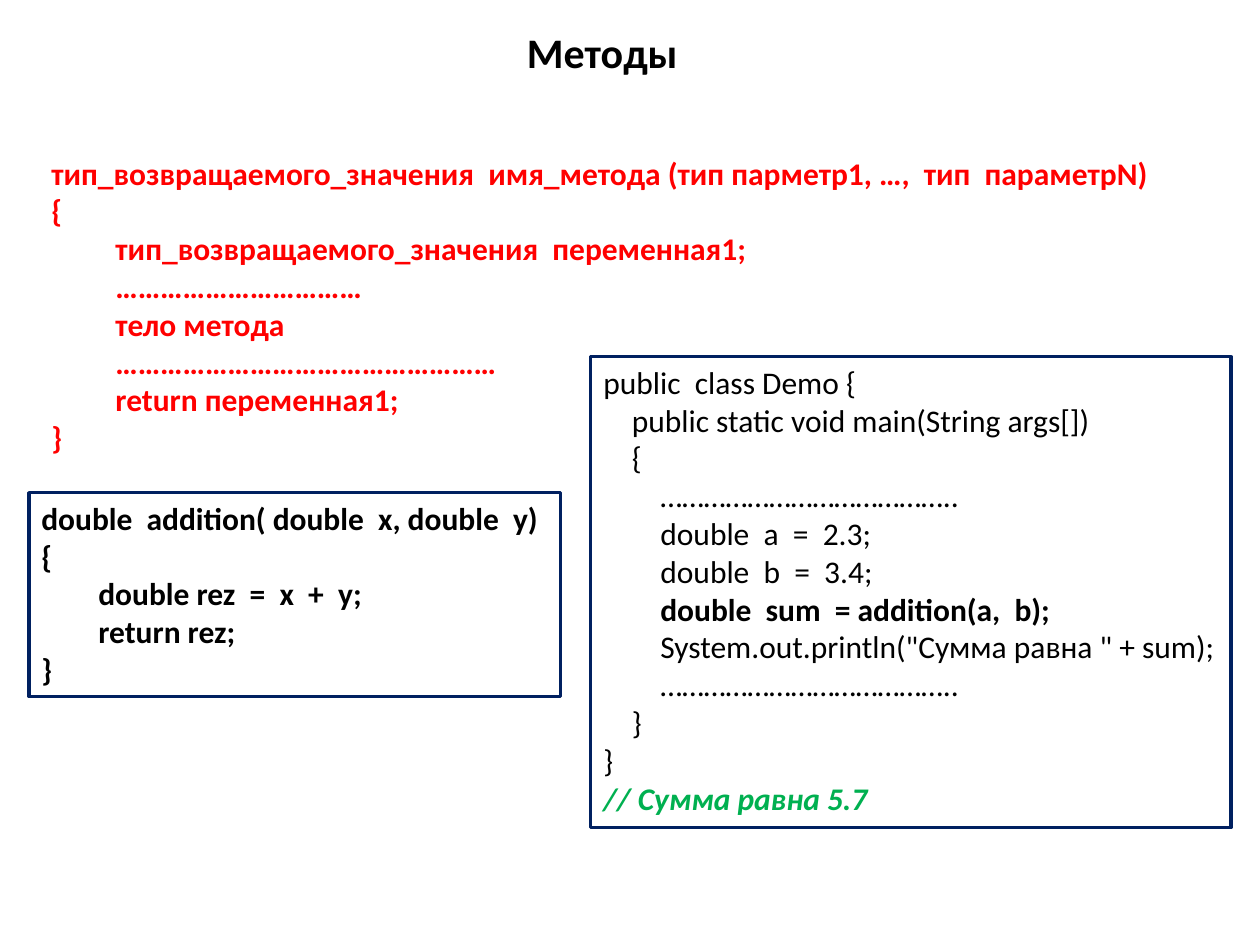
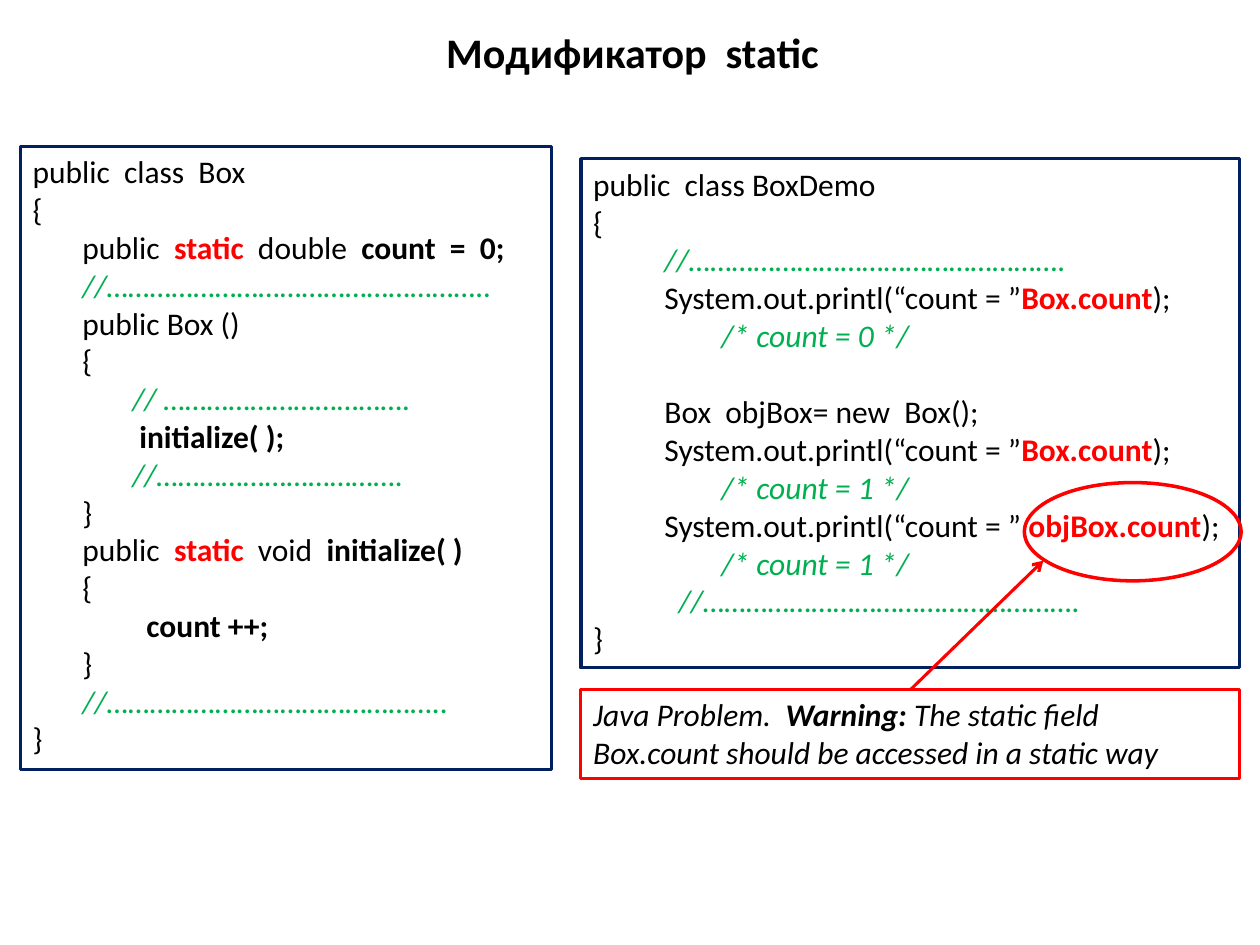
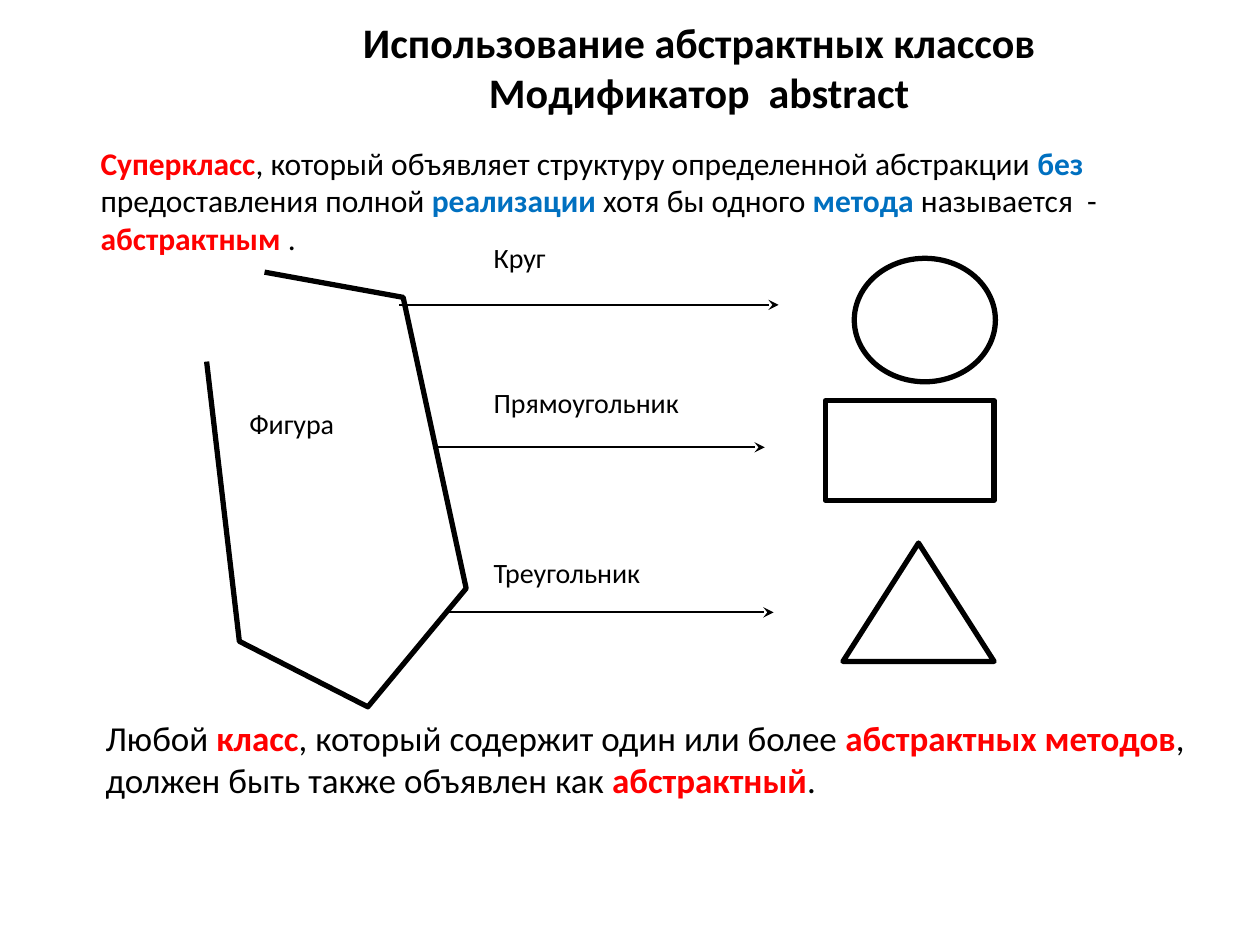
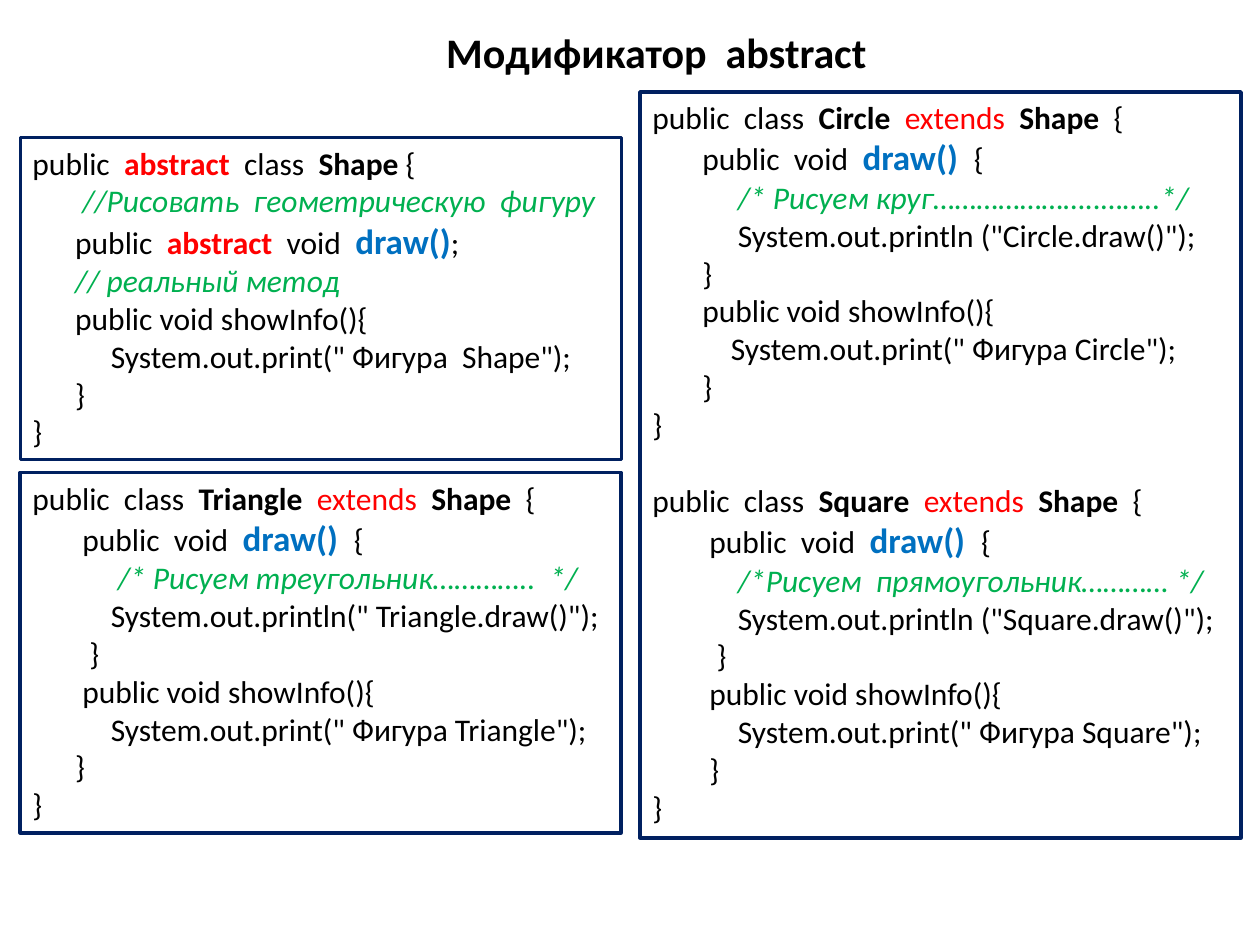
import pptx
import pptx.dml.color
import pptx.enum.shapes
import pptx.enum.text
import pptx.oxml
import pptx.oxml.ns
import pptx.util

Inches = pptx.util.Inches
Pt = pptx.util.Pt
SHAPE = pptx.enum.shapes.MSO_SHAPE
LEFT = pptx.enum.text.PP_ALIGN.LEFT
CENTER = pptx.enum.text.PP_ALIGN.CENTER

FONT = "Calibri"
BLACK, RED, GREEN, BLUE, NAVY = "000000", "FF0000", "00B050", "0070C0", "002060"
COLUMN = Pt(4.07)  # width of one code column at 18 pt
BLANK_LINE = Pt(22)

# style name: colour, bold, italic, size (None keeps the size of the block)
STYLES = {
    "plain": (BLACK, False, False, None),
    "bold": (BLACK, True, False, None),
    "italic": (BLACK, False, True, None),
    "warning": (BLACK, True, True, None),
    "key": (RED, True, False, None),
    "extends": (RED, False, False, None),
    "comment": (GREEN, False, True, None),
    "result": (GREEN, True, True, None),
    "term": (BLUE, True, False, None),
    "method": (BLUE, True, False, 20),
}

# Each line: indent in columns, then runs; a run is plain text or (text, style).
# A line of None leaves a gap of one line before the next.
SYNTAX = [
    (0, ("тип_возвращаемого_значения  имя_метода (тип парметр1, …,  тип  параметрN)", "key")),
    (0, ("{", "key")),
    (9, ("тип_возвращаемого_значения  переменная1;", "key")),
    (9, ("……………………………", "key")),
    (9, ("тело метода", "key")),
    (9, ("……………………………………………", "key")),
    (9, ("return переменная1;", "key")),
    (0, ("}", "key")),
]
ADDITION = [
    (0, ("double  addition( double  x, double  y)", "bold")),
    (0, ("{", "bold")),
    (8, ("double rez  =  x  +  y;", "bold")),
    (8, ("return rez;", "bold")),
    (0, ("}", "bold")),
]
DEMO = [
    (0, "public  class Demo {"),
    (4, "public static void main(String args[])"),
    (4, "{"),
    (8, "…………………………………..",),
    (8, "double  a  =  2.3;"),
    (8, "double  b  =  3.4;"),
    (8, ("double  sum  = addition(a,  b);", "bold")),
    (8, 'System.out.println("Сумма равна " + sum);'),
    (8, "………………………………….."),
    (4, "}"),
    (0, "}"),
    (0, ("// Сумма равна 5.7", "result")),
]
BOX_CLASS = [
    (0, "public  class  Box"),
    (0, "{"),
    (7, "public  ", ("static ", "key"), " double  ", ("count  =  0;", "bold")),
    (7, ("//……………………………………………..", "comment")),
    (7, "public Box ()"),
    (7, "{"),
    (14, ("// …………………………….", "comment")),
    (15, ("initialize( );", "bold")),
    (14, ("//…………………………….", "comment")),
    (7, "}"),
    (7, "public  ", ("static", "key"), "  void  ", ("initialize( )", "bold")),
    (7, "{"),
    (16, ("count ++;", "bold")),
    (7, "}"),
    (7, ("//………………………………………..", "comment")),
    (0, "}"),
]
PRINT_COUNT = (10, "System.out.printl(“count = ”", ("Box.count", "key"), ");")
COUNT_IS_1 = (18, ("/* count = 1 */", "comment"))
BOX_DEMO = [
    (0, "public  class BoxDemo"),
    (0, "{"),
    (10, ("//…………………………………………….", "comment")),
    PRINT_COUNT,
    (18, ("/* count = 0 */", "comment")),
    None,
    (10, "Box  objBox= new  Box();"),
    PRINT_COUNT,
    COUNT_IS_1,
    (10, "System.out.printl(“count = ” ", ("objBox.count", "key"), ");"),
    COUNT_IS_1,
    (12, ("//…………………………………………….", "comment")),
    (0, "}"),
]
WARNING = [
    (0, ("Java Problem.  ", "italic"), ("Warning: ", "warning"),
     ("The static field Box.count should be accessed in a static way", "italic")),
]
DEFINITION = [
    (0, ("Суперкласс", "key"), ", который объявляет структуру определенной абстракции ",
     ("без ", "term"), "предоставления полной ", ("реализации ", "term"),
     "хотя бы одного ", ("метода", "term"), " называется  - ",
     ("абстрактным ", "key"), "."),
]
RULE = [
    (0, "Любой ", ("класс", "key"), ", который содержит один или более ",
     ("абстрактных методов", "key"), ", должен быть также объявлен как ",
     ("абстрактный", "key"), "."),
]
SHAPE_CLASS = [
    (0, "public  ", ("abstract  ", "key"), "class  ", ("Shape ", "bold"), "{"),
    (7, ("//Рисовать  геометрическую  фигуру", "comment")),
    (6, "public  ", ("abstract  ", "key"), "void  ", ("draw()", "method"), ";"),
    (6, ("// реальный метод", "comment")),
    (6, "public void showInfo(){"),
    (11, 'System.out.print(" Фигура  Shape");'),
    (6, "}"),
    (0, "}"),
]


def subclass(name, comment, draw_print, method, comment_at, print_at, draw_end,
             info_print_at, info_end):
    """Code of a class that extends Shape; the numbers are indents in columns."""
    return [
        (0, "public  class  ", (name + "  ", "bold"), ("extends  ", "extends"),
         ("Shape", "bold"), "  {"),
        (method, "public  void  ", ("draw()  ", "method"), "{"),
        (comment_at, (comment, "comment")),
        (print_at, draw_print),
        (draw_end, "}"),
        (method, "public void showInfo(){"),
        (info_print_at, f'System.out.print(" Фигура {name}");'),
        (info_end, "}"),
        (0, "}"),
    ]


TRIANGLE = subclass("Triangle", "/* Рисуем треугольник…………..  */",
                    'System.out.println(" Triangle.draw()");', 7, 12, 11, 8, 11, 6)
CIRCLE = subclass("Circle", "/* Рисуем круг…………………..……..*/",
                  'System.out.println ("Circle.draw()");', 7, 12, 12, 7, 11, 7)
SQUARE = subclass("Square", "/*Рисуем  прямоугольник………… */",
                  'System.out.println ("Square.draw()");', 8, 12, 12, 9, 12, 8)

FIGURE_OUTLINE = [(2.1, 2.16), (3.2, 2.36), (3.7, 4.67), (2.92, 5.61), (1.9, 5.09), (1.64, 2.87)]
# label, label top, arrow (start, end, y), preset shape, its place
KINDS = [
    ("Круг", 1.86, (3.17, 6.18, 2.42), SHAPE.FLOWCHART_CONNECTOR, (6.78, 2.05, 1.12, 0.98)),
    ("Прямоугольник", 3.01, (3.46, 6.07, 3.55), SHAPE.FLOWCHART_PROCESS, (6.55, 3.18, 1.34, 0.79)),
    ("Треугольник", 4.36, (3.54, 6.14, 4.86), SHAPE.ISOSCELES_TRIANGLE, (6.69, 4.31, 1.2, 0.94)),
]


def rgb(color):
    return pptx.dml.color.RGBColor.from_string(color)


def inches(values):
    return [Inches(v) for v in values]


def format_run(r, style, size):
    color, bold, italic, own_size = STYLES[style]
    r.font.name = FONT
    r.font.size = Pt(own_size or size)
    r.font.bold = bold
    r.font.italic = italic
    r.font.color.rgb = rgb(color)


def write_lines(tf, lines, size):
    tf.word_wrap = True
    tf.vertical_anchor = pptx.enum.text.MSO_ANCHOR.TOP
    p, gap = tf.paragraphs[0], False
    for number, line in enumerate(lines):
        if line is None:
            gap = True
            continue
        if number:
            p = tf.add_paragraph()
        p.alignment = LEFT
        if gap:
            p.space_before, gap = BLANK_LINE, False
        indent, *runs = line
        if indent:
            p._p.get_or_add_pPr().set("marL", str(indent * COLUMN))
        for run in runs:
            text, style = (run, "plain") if isinstance(run, str) else run
            r = p.add_run()
            r.text = text
            format_run(r, style, size)


def add_text(shapes, place, lines, size=18):
    write_lines(shapes.add_textbox(*inches(place)).text_frame, lines, size)


def outline(sp, color, width):
    sp.shadow.inherit = False
    sp.fill.background()
    sp.line.color.rgb = rgb(color)
    sp.line.width = Pt(width)


def add_outlined(shapes, preset, place, color, width):
    sp = shapes.add_shape(preset, *inches(place))
    outline(sp, color, width)
    return sp


def add_code(slide, place, lines, color=NAVY, width=1.75):
    sp = add_outlined(slide.shapes, SHAPE.RECTANGLE, place, color, width)
    write_lines(sp.text_frame, lines, 18)


def add_arrow(shapes, start, end, color, width, head):
    sp = shapes.add_connector(pptx.enum.shapes.MSO_CONNECTOR.STRAIGHT,
                              *inches(start + end))
    sp.line.color.rgb = rgb(color)
    sp.line.width = Pt(width)
    tail = pptx.oxml.parse_xml(
        f'<a:tailEnd {pptx.oxml.ns.nsdecls("a")} type="{head}"/>')
    sp.line._get_or_add_ln().append(tail)
    effects = pptx.oxml.parse_xml(f'<a:effectLst {pptx.oxml.ns.nsdecls("a")}/>')
    sp._element.spPr.append(effects)


def add_slide(prs, title, place, align=LEFT):
    slide = prs.slides.add_slide(prs.slide_layouts[5])
    sp = slide.shapes.title
    sp.left, sp.top, sp.width, sp.height = inches(place)
    tf = sp.text_frame
    tf.text = title
    tf.word_wrap = True
    tf.auto_size = pptx.enum.text.MSO_AUTO_SIZE.NONE
    tf.vertical_anchor = pptx.enum.text.MSO_ANCHOR.TOP
    for p in tf.paragraphs:
        p.alignment = align
        for r in p.runs:
            format_run(r, "bold", 24)
    return slide


def build_methods(prs):
    slide = add_slide(prs, "Методы", (4.08, 0.16, 1.4, 0.5), CENTER)
    add_text(slide.shapes, (0.31, 1.17, 9.1, 2.52), SYNTAX)
    add_code(slide, (0.23, 3.91, 4.22, 1.62), ADDITION)
    add_code(slide, (4.69, 2.83, 5.08, 3.74), DEMO)


def build_static(prs):
    slide = add_slide(prs, "Модификатор  static", (3.44, 0.16, 3.67, 0.5))
    add_code(slide, (0.16, 1.16, 4.22, 4.95), BOX_CLASS)
    add_code(slide, (4.61, 1.26, 5.23, 4.04), BOX_DEMO, width=2)
    add_code(slide, (4.61, 5.47, 5.23, 0.71), WARNING, color=RED)
    add_outlined(slide.shapes, SHAPE.OVAL, (8.13, 3.83, 1.72, 0.78), RED, 2)
    add_arrow(slide.shapes, (7.23, 5.47), (8.28, 4.45), RED, 1.75, "arrow")


def build_abstract_classes(prs):
    slide = add_slide(prs, "Использование абстрактных классов\nМодификатор  abstract",
                      (2.27, 0.08, 6.56, 0.91), CENTER)
    add_text(slide.shapes, (0.7, 1.09, 9.06, 1.01), DEFINITION)
    diagram = slide.shapes.add_group_shape().shapes
    start, *points = [inches(point) for point in FIGURE_OUTLINE]
    builder = diagram.build_freeform(*start)
    builder.add_line_segments(points, close=False)
    outline(builder.convert_to_shape(), BLACK, 3)
    add_text(diagram, (1.88, 3.18, 1.28, 0.6), [(0, "Фигура")], 16)
    for label, top, (x1, x2, y), preset, place in KINDS:
        add_text(diagram, (3.82, top, 2.24, 0.6), [(0, label)], 16)
        add_arrow(diagram, (x1, y), (x2, y), BLACK, 1, "stealth")
        add_outlined(diagram, preset, place, BLACK, 3)
    add_text(slide.shapes, (0.74, 5.64, 9.14, 0.77), RULE, 20)


def build_abstract_code(prs):
    slide = add_slide(prs, "Модификатор  abstract", (3.44, 0.16, 3.67, 0.5))
    add_code(slide, (0.16, 1.09, 4.77, 2.56), SHAPE_CLASS)
    add_code(slide, (5.08, 0.73, 4.77, 5.92), CIRCLE + [None] + SQUARE, width=2)
    add_code(slide, (0.16, 3.75, 4.77, 2.86), TRIANGLE, width=2)


def main():
    prs = pptx.Presentation()
    prs.slide_width, prs.slide_height = Inches(10), Inches(7.5)
    build_methods(prs)
    build_static(prs)
    build_abstract_classes(prs)
    build_abstract_code(prs)
    prs.save("out.pptx")


if __name__ == "__main__":
    main()
